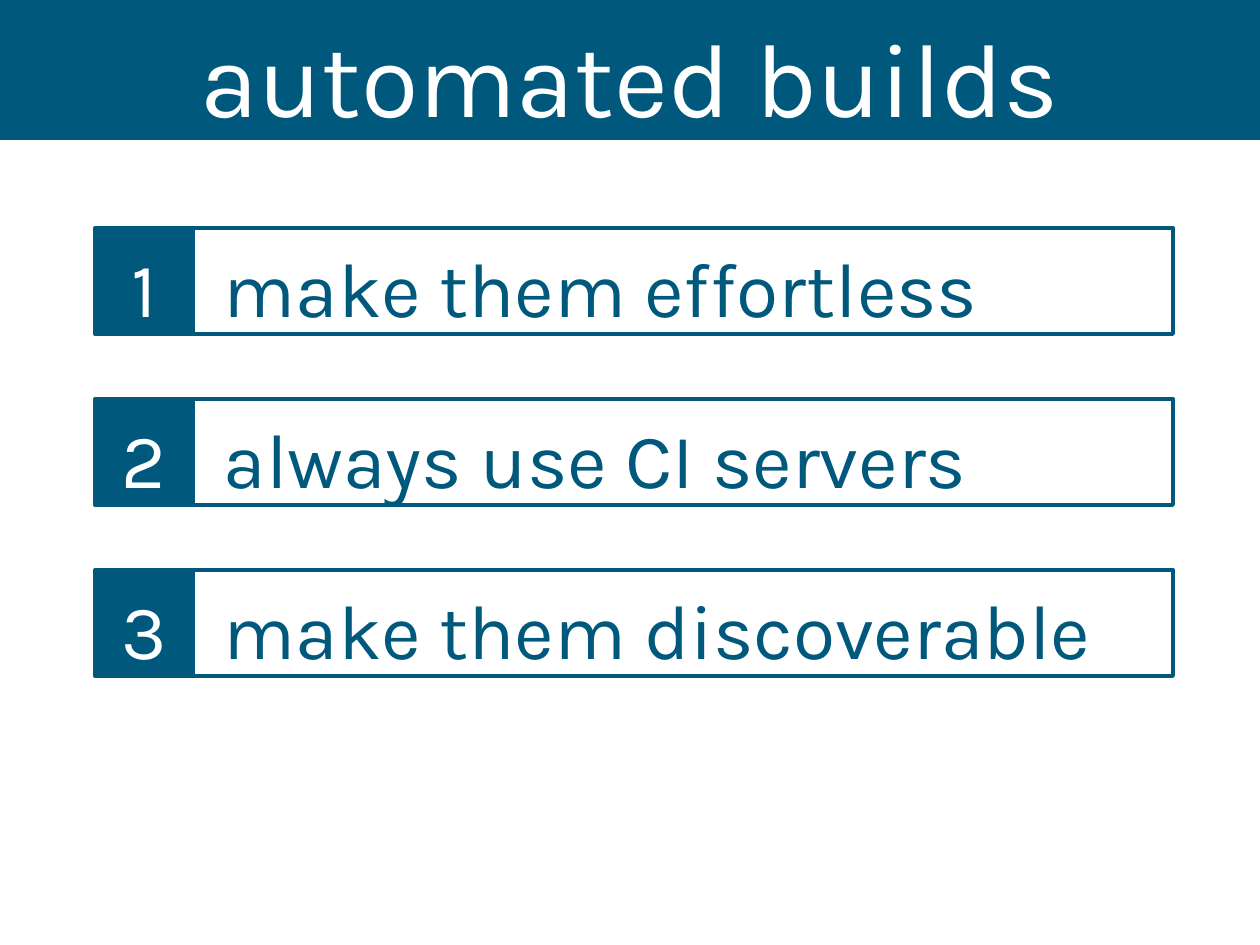
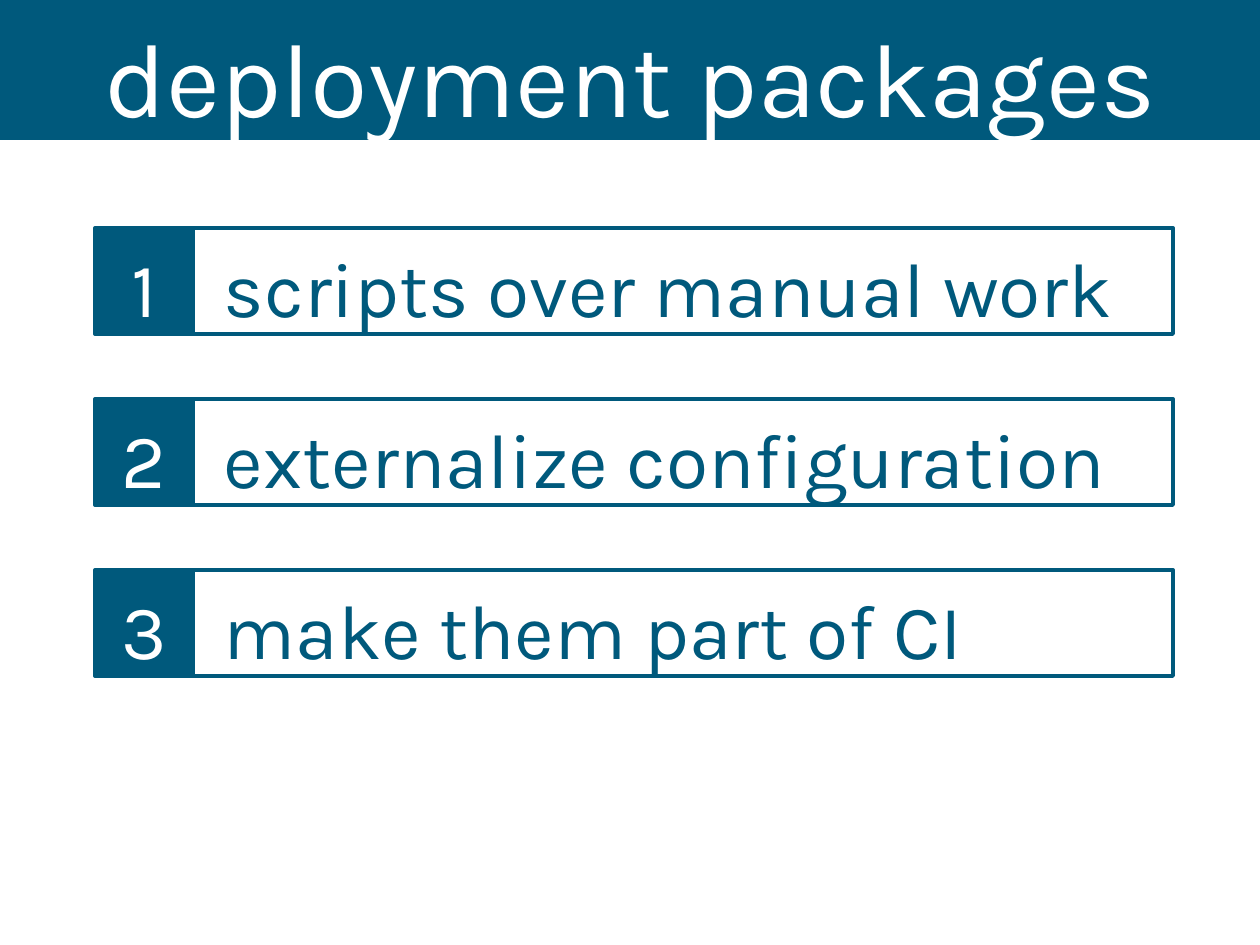
from pptx import Presentation
from pptx.dml.color import RGBColor
from pptx.enum.shapes import MSO_SHAPE
from pptx.enum.text import MSO_ANCHOR, PP_ALIGN
from pptx.util import Inches, Pt

BLUE = RGBColor(0x00, 0x59, 0x7C)
WHITE = RGBColor(0xFF, 0xFF, 0xFF)
RECT = MSO_SHAPE.RECTANGLE
TOP = MSO_ANCHOR.TOP
LEFT, CENTER = PP_ALIGN.LEFT, PP_ALIGN.CENTER

FONT = "Karla"
WIDTH, HEIGHT = 1260, 945
BAND = 140
INSET, INDENT = 13, 31
ROW_X, ROW_Y, ROW_H, PITCH = 95, 228, 106, 171
NUM_W, ITEM_W = 98, 980

SLIDES = [
    ("automated builds",
     ["make them effortless", "always use CI servers", "make them discoverable"]),
    ("deployment packages",
     ["scripts over manual work", "externalize configuration", "make them part of CI"]),
]


def px(count):
    """Turn px into EMU."""
    return round(count * Inches(1) / 126)


def add_box(slide, x, y, w, h, text, size, fill=None, edge=None,
            ink=WHITE, align=CENTER, inset=INSET):
    """Add a rectangle with one line of text."""
    box = slide.shapes.add_shape(RECT, px(x), px(y), px(w), px(h))
    box.shadow.inherit = False
    if fill is None:
        box.fill.background()
    else:
        box.fill.solid()
        box.fill.fore_color.rgb = fill
    if edge is None:
        box.line.fill.background()
    else:
        box.line.color.rgb = edge
        box.line.width = Pt(2.25)
    frame = box.text_frame
    frame.text = text
    frame.word_wrap = True
    frame.vertical_anchor = TOP
    frame.margin_left = px(inset)
    frame.margin_right = frame.margin_top = px(INSET)
    frame.margin_bottom = 0
    para = frame.paragraphs[0]
    para.alignment = align
    font = para.runs[0].font
    font.name = FONT
    font.size = Pt(size)
    font.color.rgb = ink


def add_title(slide, text):
    """Add the title band."""
    add_box(slide, 0, 0, WIDTH, BAND, text, 60, fill=BLUE)


def add_row(slide, index, text):
    """Add a numbered row."""
    y = ROW_Y + index * PITCH
    add_box(slide, ROW_X + NUM_W, y, ITEM_W, ROW_H, text, 44,
            edge=BLUE, ink=BLUE, align=LEFT, inset=INDENT)
    add_box(slide, ROW_X, y, NUM_W, ROW_H, str(index + 1), 44, fill=BLUE, edge=BLUE)


def main():
    """Build the deck."""
    deck = Presentation()
    deck.slide_width, deck.slide_height = px(WIDTH), px(HEIGHT)
    for title, items in SLIDES:
        slide = deck.slides.add_slide(deck.slide_layouts[6])
        add_title(slide, title)
        for index, text in enumerate(items):
            add_row(slide, index, text)
    deck.save("out.pptx")


if __name__ == "__main__":
    main()
